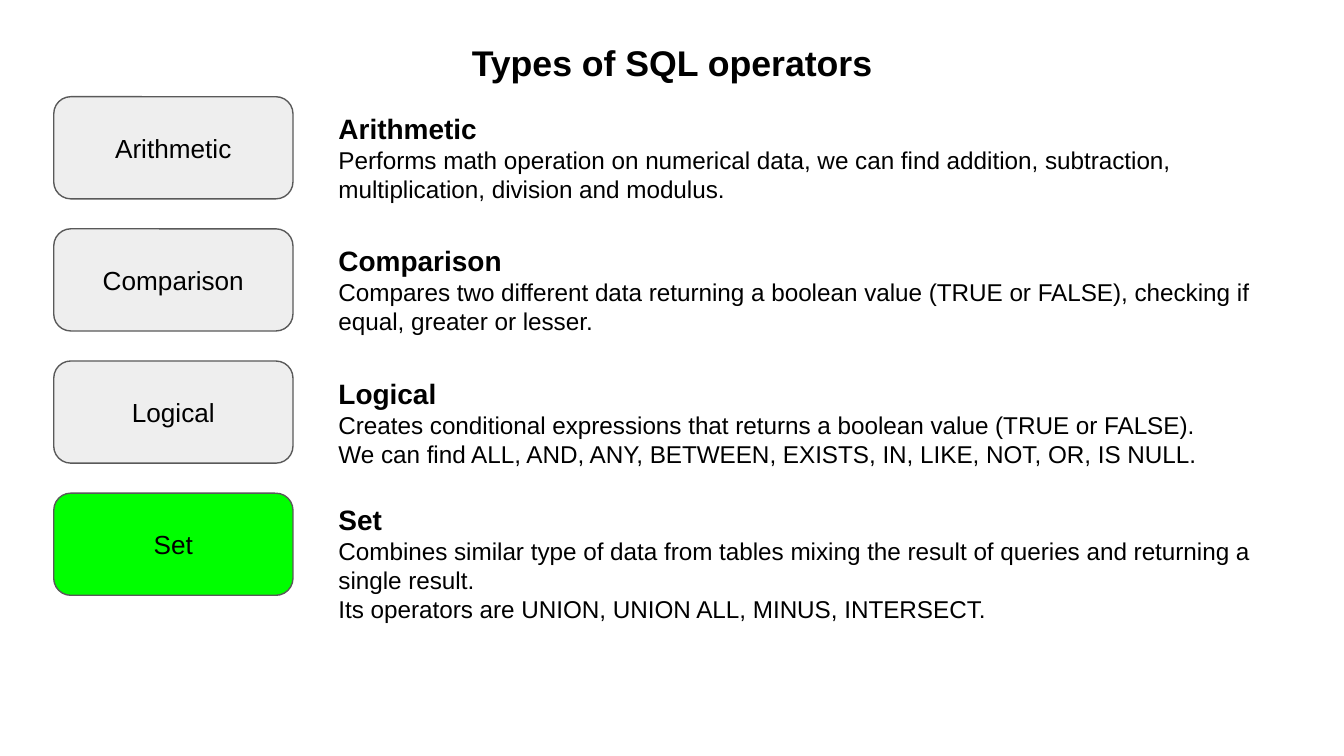
from dataclasses import dataclass

from pptx import Presentation
from pptx import util as u
from pptx.dml.color import RGBColor
from pptx.enum import shapes, text


@dataclass(frozen=True)
class Theme:
    font: str = "Arial"
    ink: str = "000000"
    paper: str = "FFFFFF"
    card: str = "EEEEEE"
    mark: str = "00FF00"
    edge: str = "595959"
    title: float = 19.1
    label: float = 14
    head: float = 15
    body: float = 13
    pad: float = 0.1


def write(para, words, size, theme, bold=False, align=text.PP_ALIGN.LEFT, lead=1.0):
    """Put one formatted run into a paragraph."""
    para.alignment = align
    para.line_spacing = lead
    para.space_before = para.space_after = u.Pt(0)
    run = para.add_run()
    run.text = words
    font = run.font
    font.name, font.size, font.bold = theme.font, u.Pt(size), bold
    font.color.rgb = RGBColor.from_string(theme.ink)


class Deck:
    def __init__(self, theme, wide, high):
        self.theme = theme
        self.file = Presentation()
        self.file.slide_width = u.Inches(wide)
        self.file.slide_height = u.Inches(high)
        self.slide = self.file.slides.add_slide(self.file.slide_layouts[5])
        fill = self.slide.background.fill
        fill.solid()
        fill.fore_color.rgb = RGBColor.from_string(theme.paper)

    def frame(self, shape, anchor):
        body = shape.text_frame
        body.word_wrap = True
        body.auto_size = text.MSO_AUTO_SIZE.NONE
        body.vertical_anchor = anchor
        body.margin_left = body.margin_right = u.Inches(self.theme.pad)
        body.margin_top = body.margin_bottom = u.Inches(self.theme.pad)
        return body

    def title(self, words, *box):
        shape = self.slide.shapes.title
        shape.left, shape.top, shape.width, shape.height = map(u.Inches, box)
        body = self.frame(shape, text.MSO_ANCHOR.BOTTOM)
        write(body.paragraphs[0], words, self.theme.title, self.theme,
              bold=True, align=text.PP_ALIGN.CENTER, lead=0.8)

    def card(self, words, color, *box):
        shape = self.slide.shapes.add_shape(
            shapes.MSO_SHAPE.ROUNDED_RECTANGLE, *map(u.Inches, box))
        shape.adjustments[0] = 1 / 6
        shape.shadow.inherit = False
        shape.fill.solid()
        shape.fill.fore_color.rgb = RGBColor.from_string(color)
        shape.line.color.rgb = RGBColor.from_string(self.theme.edge)
        shape.line.width = u.Pt(0.75)
        body = self.frame(shape, text.MSO_ANCHOR.MIDDLE)
        write(body.paragraphs[0], words, self.theme.label, self.theme,
              align=text.PP_ALIGN.CENTER)

    def note(self, head, lines, *box):
        shape = self.slide.shapes.add_textbox(*map(u.Inches, box))
        body = self.frame(shape, text.MSO_ANCHOR.TOP)
        write(body.paragraphs[0], head, self.theme.head, self.theme, bold=True)
        for line in lines:
            write(body.add_paragraph(), line, self.theme.body, self.theme)


# Operator name, top of its note, lines of the note
KINDS = [
    ("Arithmetic", 0.73, [
        "Performs math operation on numerical data, we can find addition, "
        "subtraction, multiplication, division and modulus."]),
    ("Comparison", 1.71, [
        "Compares two different data returning a boolean value (TRUE or FALSE), "
        "checking if equal, greater or lesser."]),
    ("Logical", 2.7, [
        "Creates conditional expressions that returns a boolean value (TRUE or FALSE).",
        "We can find ALL, AND, ANY, BETWEEN, EXISTS, IN, LIKE, NOT, OR, IS NULL."]),
    ("Set", 3.64, [
        "Combines similar type of data from tables mixing the result of queries "
        "and returning a single result.",
        "Its operators are UNION, UNION ALL, MINUS, INTERSECT."]),
]
ACTIVE = "Set"
WIDE = 10
FIRST, LAST, HIGH = 0.72, 3.67, 0.76
STEP = (LAST - FIRST) / (len(KINDS) - 1)


def main():
    theme = Theme()
    deck = Deck(theme, WIDE, WIDE * 9 / 16)
    deck.title("Types of SQL operators", 0.34, 0.25, 9.32, 0.47)

    # Cards on the left, evenly stepped
    for row, (name, _, _) in enumerate(KINDS):
        color = theme.mark if name == ACTIVE else theme.card
        deck.card(name, color, 0.4, FIRST + row * STEP, 1.78, HIGH)

    # Notes on the right
    for name, top, lines in KINDS:
        deck.note(name, lines, 2.42, top, 7.24, HIGH)

    deck.file.save("out.pptx")


if __name__ == "__main__":
    main()
